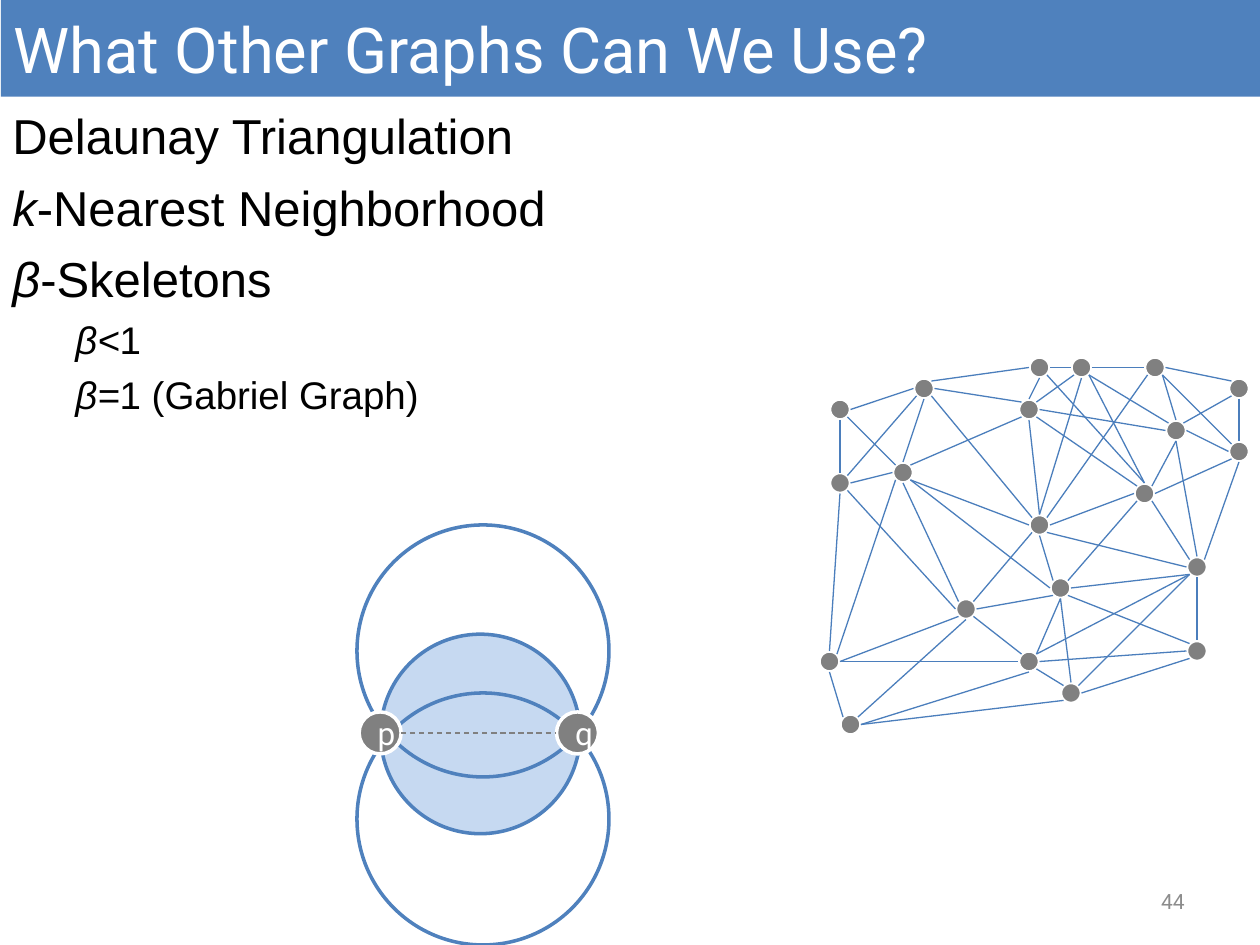
import math
import pptx
import pptx.util
import pptx.dml.color
import pptx.enum.dml
import pptx.enum.shapes
import pptx.enum.text
import pptx.oxml.ns
from lxml import etree

HUES = {"blue": "4F81BD", "edge": "4B7EBC", "pale": "C6D9F1", "node": "808080",
        "page": "8C8C8C", "white": "FFFFFF", "black": "000000"}
RGB = {name: pptx.dml.color.RGBColor.from_string(code) for name, code in HUES.items()}
Pt = pptx.util.Pt
KIND = pptx.enum.shapes.MSO_SHAPE
ALIGN = pptx.enum.text.PP_ALIGN
MID = pptx.enum.text.MSO_ANCHOR.MIDDLE

deck = pptx.Presentation()
deck.slide_width = pptx.util.Inches(10)
deck.slide_height = pptx.util.Inches(7.5)
slide = deck.slides.add_slide(deck.slide_layouts[6])
shapes = slide.shapes
UNIT = deck.slide_width / 120  # grid of 120 columns by 90 rows


def disc(left, top, size, fill, line):
    oval = shapes.add_shape(KIND.OVAL, *(round(n * UNIT) for n in (left, top, size, size)))
    oval.shadow.inherit = False
    if fill:
        oval.fill.solid()
        oval.fill.fore_color.rgb = RGB[fill]
    else:
        oval.fill.background()
    oval.line.color.rgb = RGB[line]
    oval.line.width = Pt(2)
    return oval


def wire(ends, hue):
    line = shapes.add_connector(pptx.enum.shapes.MSO_CONNECTOR.STRAIGHT,
                                *(round(n * UNIT) for n in ends))
    line.line.color.rgb = RGB[hue]
    line.line.width = Pt(0.75)
    etree.SubElement(line._element.spPr, pptx.oxml.ns.qn("a:effectLst"))
    return line


# Graph nodes: centre column and row
nodes = {
    "a": (114, 54), "b": (101, 56), "c": (92, 58), "d": (102, 66), "e": (114, 62),
    "f": (80, 39), "g": (88, 37), "h": (99, 35), "i": (103, 35), "j": (118, 37),
    "k": (112, 41), "l": (86, 45), "m": (99, 50), "n": (109, 47), "o": (98, 39),
    "p": (110, 35), "q": (98, 63), "r": (80, 46), "s": (79, 63), "t": (81, 69),
    "u": (118, 43),
}
for col, row in nodes.values():
    disc(col - 1, row - 1, 2, "node", "white")

# Circles through p and q
disc(36.25, 60.4, 19, "pale", "blue")
for row in (66, 50):
    disc(34, row, 24, None, "blue")

# List of graphs: level, italic part, upright part
items = [
    (0, "", "Delaunay Triangulation"),
    (0, "k", "-Nearest Neighborhood"),
    (0, "β", "-Skeletons"),
    (1, "β<", "1"),
    (1, "β=", "1 (Gabriel Graph)"),
]
box = shapes.add_textbox(0, round(9.5 * UNIT), 120 * UNIT, 38 * UNIT)
frame = box.text_frame
frame.word_wrap = True
for spot, (level, slant, plain) in enumerate(items):
    para = frame.add_paragraph() if spot else frame.paragraphs[0]
    para.level = level
    props = para._p.get_or_add_pPr()
    props.set("marL", str(pptx.util.Inches(0.38 + 0.5 * level)))
    props.set("indent", str(pptx.util.Inches(-0.38)))
    size = 22 if level else 28
    para.space_before = Pt(size // 4 if spot else 0)
    for text, tilt in ((slant, True), (plain, False)):
        if text:
            run = para.add_run()
            run.text = text
            run.font.name = "Arial"
            run.font.size = Pt(size)
            run.font.italic = tilt
            run.font.color.rgb = RGB["black"]

# Points p and q
for name, col in (("p", 34.2), ("q", 53)):
    point = disc(col, 67.8, 4, "node", "white")
    frame = point.text_frame
    frame.text = name
    frame.word_wrap = True
    frame.vertical_anchor = MID
    para = frame.paragraphs[0]
    para.alignment = ALIGN.CENTER
    font = para.runs[0].font
    font.name, font.size = "Roboto", Pt(18)
    font.color.rgb = RGB["white"]

# Graph edges: node and rim site at each end (0 top, then in eighths by way of left)
edges = """
f4r0 f6g2 f5l1 r4s0 t1s4 c3s6 g4l0 g6o1 m2l5 l4c1 i2h6 h4o0 o4m0 o5n1 c5q1 b3c6
m3c7 q5d1 b4q7 m4b1 m6n2 b7n3 a3b6 b5e1 d6e3 a4e0 n5a1 u4a7 k4n7 i6p2 p5k0 p6j1
k6u2 j3k7 j4u0 l2r6 r7g3 r5c2 s6q2 s7l3 t7c4 t6q4 t6d3 g7h2 g5m1 l7o3 l5b2 h5n0
o7i3 o6k2 q6e2 q7a3 m0i4 m5a2 m7p3 b4d0 d7a3 k4a0 n6u3 i5n0 i5k1 p5u1
"""
for edge in edges.split():
    ends = []
    for name, site in (edge[:2], edge[2:]):
        turn = int(site) * math.pi / 4
        col, row = nodes[name]
        ends += [col - math.sin(turn), row - math.cos(turn)]
    wire(ends, "edge")

# Dashed link from p to q
link = wire((38.2, 69.8, 53, 69.8), "node")
link.line.dash_style = pptx.enum.dml.MSO_LINE.DASH

# Page number and title bar
page = shapes.add_textbox(86 * UNIT, round(83.4 * UNIT), 28 * UNIT, round(4.8 * UNIT))
bar = shapes.add_shape(KIND.RECTANGLE, round(0.1 * UNIT), 0, 120 * UNIT, round(9.2 * UNIT))
bar.shadow.inherit = False
bar.fill.solid()
bar.fill.fore_color.rgb = RGB["blue"]
bar.line.fill.background()
for shape, text, size, hue, side in (
    (page, "44", 12, "page", ALIGN.RIGHT),
    (bar, "What Other Graphs Can We Use?", 36.1, "white", ALIGN.LEFT),
):
    frame = shape.text_frame
    frame.text = text
    frame.word_wrap = True
    frame.vertical_anchor = MID
    para = frame.paragraphs[0]
    para.alignment = side
    font = para.runs[0].font
    font.name, font.size = "Roboto", Pt(size)
    font.color.rgb = RGB[hue]

deck.save("out.pptx")
